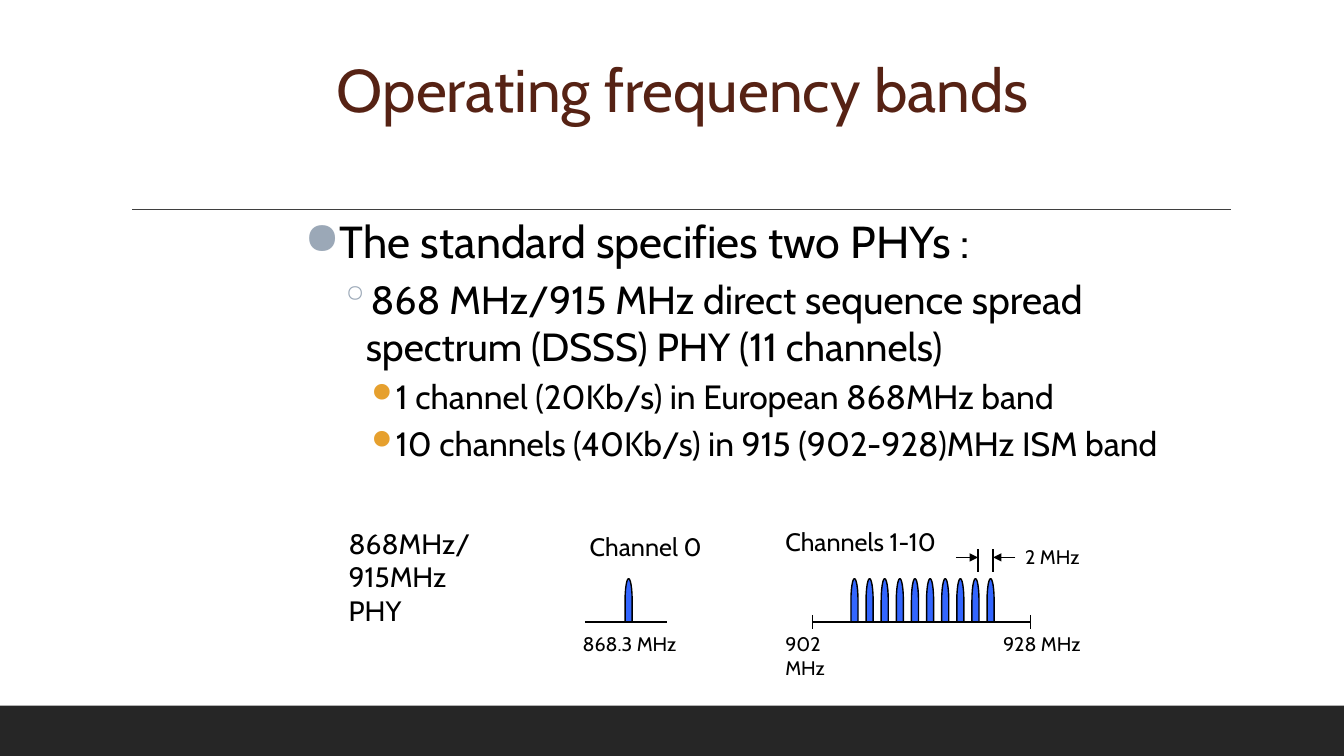
"""Build the slide on the operating frequency bands of the two PHYs."""
from dataclasses import dataclass

from lxml import etree
from pptx import Presentation
from pptx.dml.color import RGBColor
from pptx.enum.shapes import MSO_CONNECTOR, MSO_SHAPE
from pptx.enum.text import MSO_ANCHOR, MSO_AUTO_SIZE, PP_ALIGN
from pptx.oxml.ns import qn
from pptx.util import Emu, Pt

STRAIGHT = MSO_CONNECTOR.STRAIGHT
RECT = MSO_SHAPE.RECTANGLE
DELAY = MSO_SHAPE.FLOWCHART_DELAY
MIDDLE = MSO_ANCHOR.MIDDLE
NO_FIT = MSO_AUTO_SIZE.NONE
LEFT = PP_ALIGN.LEFT

EMU_PER_PX = 9144
TITLE_ONLY = 5


@dataclass(frozen=True)
class Theme:
    font: str = "Cabin"
    title: str = "562214"
    text: str = "000000"
    rule: str = "3F3F3F"
    footer: str = "262626"
    pulse: str = "3366FF"
    bullet: str = "9BA8B7"
    sub_bullet: str = "E6A02E"
    title_size: int = 43
    level_sizes: tuple[int, ...] = (32, 28, 24)
    phy_size: int = 20
    channel_size: int = 18
    freq_size: int = 14


@dataclass(frozen=True)
class Level:
    indent: int
    hanging: int
    before: float
    bullet: str
    color: str


@dataclass(frozen=True)
class Label:
    text: str
    box: tuple[int, int, int, int]
    size: int
    wrap: bool = False


@dataclass(frozen=True)
class Line:
    start: tuple[int, int]
    end: tuple[int, int]
    color: str
    arrow: bool = False


THEME = Theme()
LEVELS = (
    Level(40, 31, 0, "●", THEME.bullet),
    Level(70, 26, 5.5, "◦", THEME.bullet),
    Level(97, 25, 4.8, "⚫", THEME.sub_bullet),
)
POINTS = (
    (0, "The standard specifies two PHYs :"),
    (1, "868 MHz/915 MHz direct sequence spread spectrum (DSSS) PHY (11 channels)"),
    (2, "1 channel (20Kb/s) in European 868MHz band"),
    (2, "10 channels (40Kb/s) in 915 (902-928)MHz ISM band"),
)
LABELS = (
    Label("868MHz/\n915MHz\nPHY", (336, 517, 283, 110), THEME.phy_size, True),
    Label("Channel 0", (575, 522, 134, 40), THEME.channel_size),
    Label("Channels 1-10", (769, 517, 183, 40), THEME.channel_size, True),
    Label("868.3 MHz", (568, 622, 114, 33), THEME.freq_size),
    Label("902 MHz", (769, 622, 92, 33), THEME.freq_size, True),
    Label("928 MHz", (985, 622, 98, 33), THEME.freq_size),
    Label("2 MHz", (1007, 536, 76, 33), THEME.freq_size),
)
AXIS_Y = 617
SPACING_Y = 553
CHANNEL_STEP = 15
PULSE_W, PULSE_H = 7, 43
PULSE_CENTERS = [623] + [847 + CHANNEL_STEP * i for i in range(10)]
LINES = (
    Line((131, 208), (1221, 208), THEME.rule),
    Line((580, AXIS_Y), (662, AXIS_Y), THEME.text),
    Line((806, AXIS_Y), (1022, AXIS_Y), THEME.text),
    *(Line((x, 610), (x, 624), THEME.text) for x in (806, 1022)),
    *(Line((x, 545), (x, 567), THEME.text) for x in (970, 985)),
    Line((948, SPACING_Y), (970, SPACING_Y), THEME.text, True),
    Line((1007, SPACING_Y), (985, SPACING_Y), THEME.text, True),
)


def px(*lengths: int) -> list[Emu]:
    return [Emu(n * EMU_PER_PX) for n in lengths]


def add_run(p, text: str, *, size: int, color: str = THEME.text) -> None:
    r = p.add_run()
    r.text = text
    r.font.name = THEME.font
    r.font.size = Pt(size)
    r.font.color.rgb = RGBColor.from_string(color)


def add_label(slide, label: Label) -> None:
    tf = slide.shapes.add_textbox(*px(*label.box)).text_frame
    tf.word_wrap = label.wrap
    for i, text in enumerate(label.text.split("\n")):
        p = tf.add_paragraph() if i else tf.paragraphs[0]
        add_run(p, text, size=label.size)


def add_line(slide, line: Line) -> None:
    sp = slide.shapes.add_connector(STRAIGHT, *px(*line.start, *line.end))
    sp.line.width = Pt(1)
    sp.line.color.rgb = RGBColor.from_string(line.color)
    if line.arrow:
        etree.SubElement(sp.line._get_or_add_ln(), qn("a:tailEnd"), type="triangle")
    etree.SubElement(sp._element.spPr, qn("a:effectLst"))


def add_block(slide, kind, box: tuple[int, int, int, int], fill: str):
    sp = slide.shapes.add_shape(kind, *px(*box))
    sp.shadow.inherit = False
    sp.fill.solid()
    sp.fill.fore_color.rgb = RGBColor.from_string(fill)
    sp.line.fill.background()
    return sp


def add_pulse(slide, center: int) -> None:
    box = (center - PULSE_H // 2, AXIS_Y - (PULSE_H + PULSE_W) // 2, PULSE_H, PULSE_W)
    sp = add_block(slide, DELAY, box, THEME.pulse)
    sp.rotation = 270
    sp.line.width = Pt(1)
    sp.line.color.rgb = RGBColor.from_string(THEME.text)


def set_title(slide, text: str) -> None:
    sp = slide.shapes.title
    sp.left, sp.top, sp.width, sp.height = px(324, 30, 820, 125)
    tf = sp.text_frame
    tf.auto_size = NO_FIT
    tf.vertical_anchor = MIDDLE
    p = tf.paragraphs[0]
    p.alignment = LEFT
    p.line_spacing = 0.9
    add_run(p, text, size=THEME.title_size, color=THEME.title)


def add_points(slide) -> None:
    tf = slide.shapes.add_textbox(*px(283, 207, 900, 495)).text_frame
    tf.word_wrap = True
    for i, (depth, text) in enumerate(POINTS):
        level = LEVELS[depth]
        p = tf.add_paragraph() if i else tf.paragraphs[0]
        p.level = depth
        p.space_before = Pt(level.before)
        pPr = p._p.get_or_add_pPr()
        indent, hanging = px(level.indent, level.hanging)
        pPr.set("marL", str(indent))
        pPr.set("indent", str(-hanging))
        clr = etree.SubElement(pPr, qn("a:buClr"))
        etree.SubElement(clr, qn("a:srgbClr"), val=level.color)
        etree.SubElement(pPr, qn("a:buChar"), char=level.bullet)
        add_run(p, text, size=THEME.level_sizes[depth])


def main() -> None:
    prs = Presentation()
    prs.slide_width, prs.slide_height = px(1333, 750)
    slide = prs.slides.add_slide(prs.slide_layouts[TITLE_ONLY])
    add_block(slide, RECT, (0, 700, 1333, 50), THEME.footer)
    set_title(slide, "Operating frequency bands")
    add_points(slide)
    for line in LINES:
        add_line(slide, line)
    for center in PULSE_CENTERS:
        add_pulse(slide, center)
    for label in LABELS:
        add_label(slide, label)
    prs.save("out.pptx")


if __name__ == "__main__":
    main()
